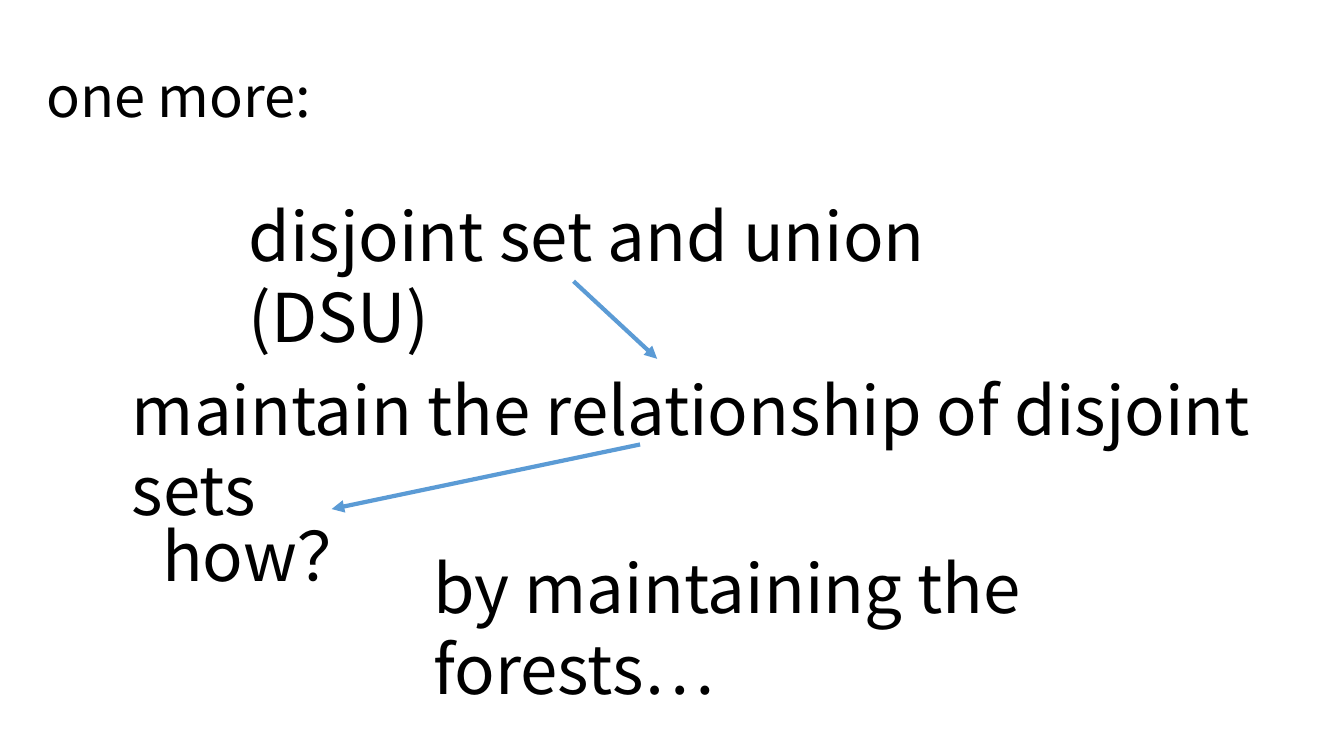
import pptx
import pptx.dml.color
import pptx.enum.shapes
import pptx.enum.text
import pptx.oxml
import pptx.oxml.ns
import pptx.util

COLOURS = {"text": "000000", "arrow": "5B9BD5"}
FONT = "Noto Sans CJK JP"


class SlideBuilder:
    """Holds the style and the current slide."""

    def __init__(self, presentation):
        self.slide = presentation.slides.add_slide(presentation.slide_layouts[5])

    def colour(self, name):
        return pptx.dml.color.RGBColor.from_string(COLOURS[name])

    def fill_text(self, shape, text, size):
        frame = shape.text_frame
        frame.text = text
        frame.word_wrap = True
        frame.auto_size = pptx.enum.text.MSO_AUTO_SIZE.SHAPE_TO_FIT_TEXT
        frame.vertical_anchor = pptx.enum.text.MSO_ANCHOR.TOP
        paragraph = frame.paragraphs[0]
        paragraph.alignment = pptx.enum.text.PP_ALIGN.LEFT
        font = paragraph.font
        font.name = FONT
        font.size = pptx.util.Pt(size)
        font.color.rgb = self.colour("text")
        # East Asian characters use the same font
        properties = paragraph._p.pPr.find(pptx.oxml.ns.qn("a:defRPr"))
        east_asian = pptx.oxml.parse_xml(
            f'<a:ea {pptx.oxml.ns.nsdecls("a")} typeface="{FONT}"/>')
        properties.find(pptx.oxml.ns.qn("a:latin")).addnext(east_asian)

    def title(self, text, left, top, width, height, size=40):
        shape = self.slide.shapes.title
        shape.left, shape.top, shape.width, shape.height = map(
            pptx.util.Pt, (left, top, width, height))
        self.fill_text(shape, text, size)

    def text(self, text, left, top, width, height=65.5, size=48):
        shape = self.slide.shapes.add_textbox(
            *map(pptx.util.Pt, (left, top, width, height)))
        self.fill_text(shape, text, size)

    def arrow(self, *ends):
        connector = self.slide.shapes.add_connector(
            pptx.enum.shapes.MSO_CONNECTOR.STRAIGHT, *map(pptx.util.Pt, ends))
        connector.line.color.rgb = self.colour("arrow")
        connector.line.width = pptx.util.Pt(3)
        namespace = pptx.oxml.ns.nsdecls("a")
        connector.line._get_or_add_ln().append(
            pptx.oxml.parse_xml(f'<a:tailEnd {namespace} type="triangle"/>'))
        connector._element.spPr.append(
            pptx.oxml.parse_xml(f"<a:effectLst {namespace}/>"))


def main():
    presentation = pptx.Presentation()
    presentation.slide_width = pptx.util.Pt(960)
    presentation.slide_height = pptx.util.Pt(540)
    builder = SlideBuilder(presentation)

    # Title
    builder.title("one more:", 26, 40.3, 583, 55.4)

    # From the data structure to its purpose
    builder.text("disjoint set and union (DSU)", 170.6, 135.4, 632.9)
    builder.arrow(409.7, 200.9, 469.4, 256.3)
    builder.text("maintain the relationship of disjoint sets", 87.1, 259.2, 861.8)

    # Question and answer
    builder.text("by maintaining the forests…", 302.4, 386.6, 631.4)
    builder.arrow(457.2, 317.5, 236.9, 363.6)
    builder.text("how？", 108.7, 363.6, 218.9)

    presentation.save("out.pptx")


if __name__ == "__main__":
    main()
